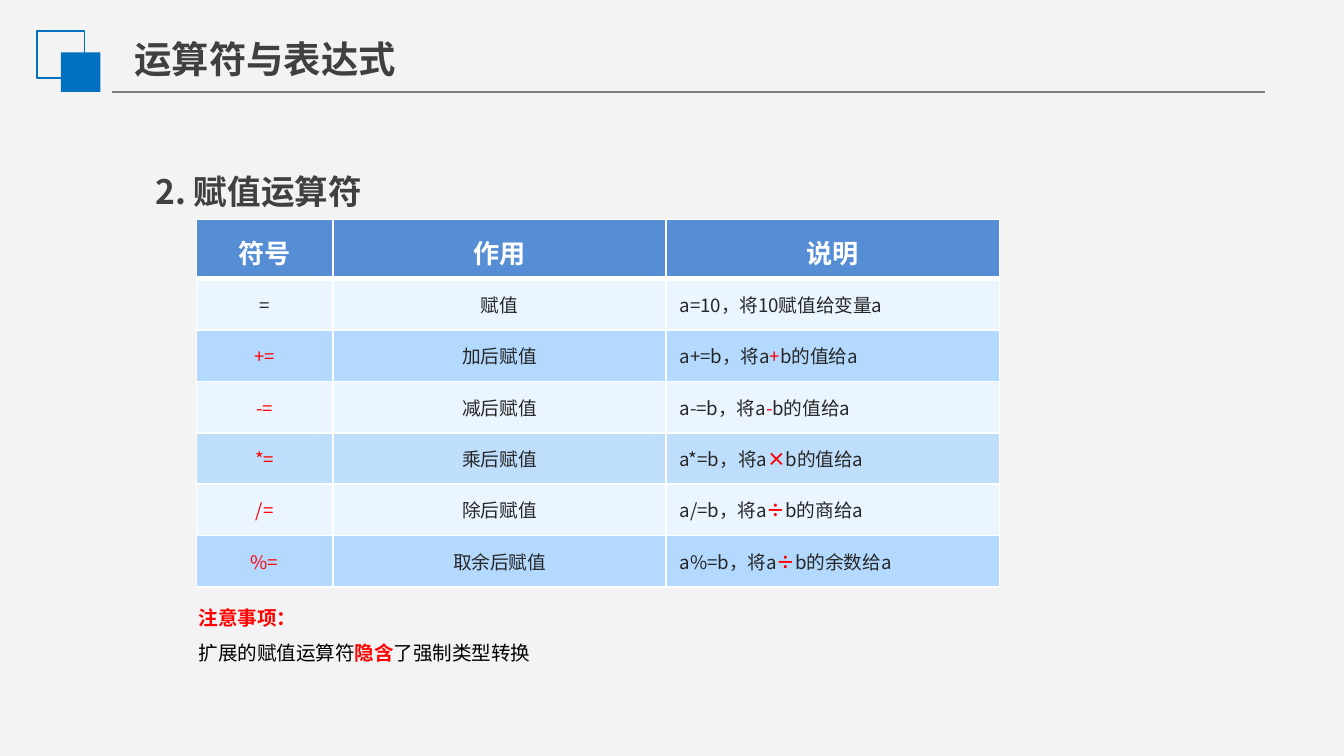
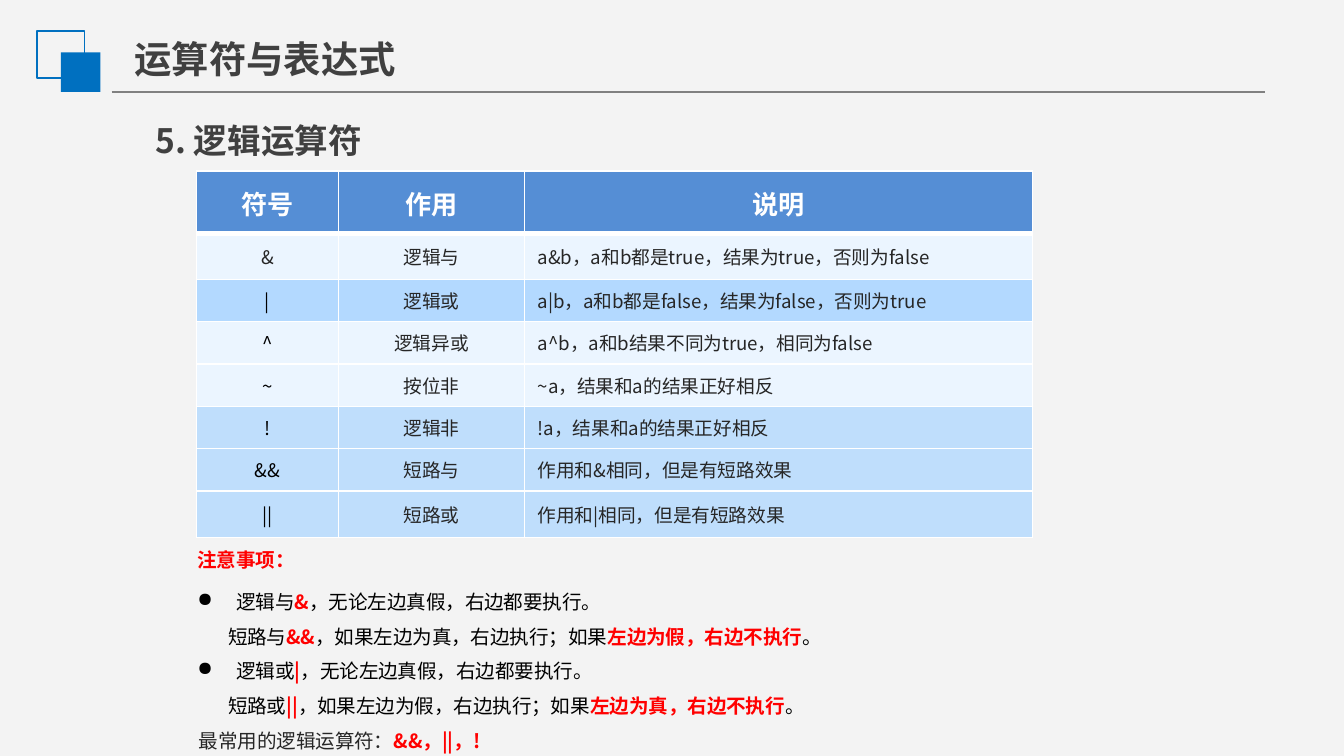
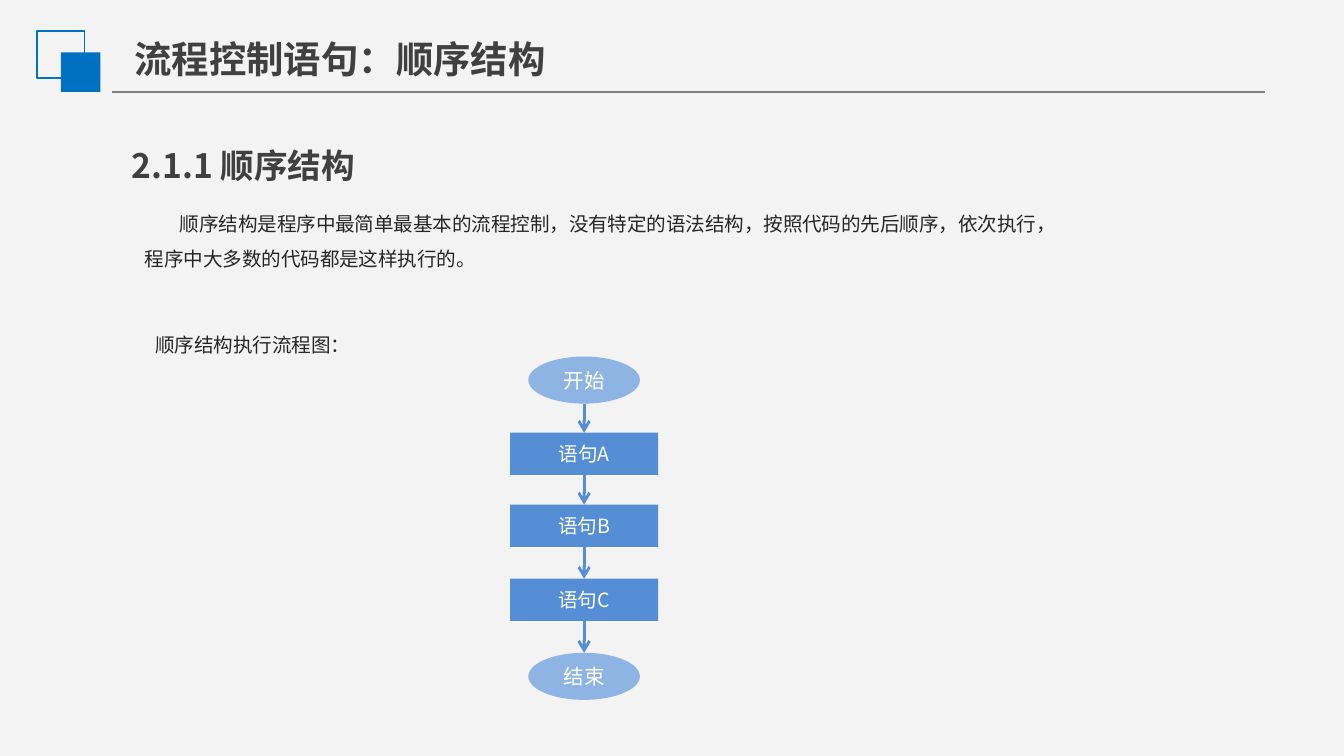
"""Build three lesson slides: two operator tables and one flow chart."""
from dataclasses import dataclass
from itertools import pairwise

from lxml import etree
from pptx import Presentation
from pptx.dml.color import RGBColor
from pptx.enum import shapes, text
from pptx.oxml.ns import qn
from pptx.util import Cm, Pt


@dataclass(frozen=True)
class Theme:
    """Colours, fonts and type sizes of the deck."""
    paper: str = "F3F3F3"
    rule: str = "808080"
    accent: str = "0070C0"
    heading: str = "404040"
    ink: str = "262626"
    black: str = "000000"
    white: str = "FFFFFF"
    hot: str = "FF0000"
    box: str = "558ED5"
    terminal: str = "8EB4E3"
    pale: str = "EBF5FF"
    sky: str = "B3D9FF"
    font: str = "Noto Sans CJK SC"
    terminal_font: str = "Calibri"
    title_size: float = 20
    heading_size: float = 18
    header_size: float = 14
    terminal_size: float = 11
    body_size: float = 10.5
    cell_size: float = 10


T = Theme()
MARK = "§"  # encloses highlighted words


@dataclass(frozen=True)
class Style:
    """Look of the runs in a paragraph."""
    size: float = T.body_size
    color: str = T.black
    bold: bool = False
    font: str = T.font
    hot_bold: bool = True


@dataclass(frozen=True)
class Para:
    """A paragraph; lengths are in centimetres."""
    text: str
    style: Style = Style()
    spacing: float | Pt | None = 1.5
    left: float = 0
    first: float = 0
    bullet: str = ""
    center: bool = False


@dataclass(frozen=True)
class Box:
    """A rectangle in centimetres."""
    x: float
    y: float
    w: float
    h: float

    def emu(self) -> tuple:
        """Return the four lengths for python-pptx."""
        return Cm(self.x), Cm(self.y), Cm(self.w), Cm(self.h)


@dataclass(frozen=True)
class Row:
    """One operator; alpha is the opacity of the fill in percent."""
    symbol: str
    role: str
    note: str
    fill: str = T.pale
    alpha: int = 100
    hot_bold: bool = True


@dataclass(frozen=True)
class Step:
    """One node of the flow chart."""
    label: str
    top: float
    terminal: bool = False


TITLE = Style(T.title_size, T.heading, True)
HEADING = Style(T.heading_size, T.heading, True)
HEADER = Style(T.header_size, T.white, True)
INK = Style(color=T.ink)
WARNING = Para("注意事项：", Style(color=T.hot, bold=True))


def rgb(color: str) -> RGBColor:
    """Turn a hex string into a colour."""
    return RGBColor.from_string(color)


def write(tf, paras: list[Para]) -> None:
    """Fill a text frame, giving marked words the highlight colour."""
    for i, para in enumerate(paras):
        p = tf.add_paragraph() if i else tf.paragraphs[0]
        p.alignment = text.PP_ALIGN.CENTER if para.center else text.PP_ALIGN.LEFT
        if para.spacing:
            p.line_spacing = para.spacing
        pPr = p._p.get_or_add_pPr()
        if para.left or para.first:
            pPr.set("marL", str(Cm(para.left)))
            pPr.set("indent", str(Cm(para.first)))
        if para.bullet:
            etree.SubElement(pPr, qn("a:buChar")).set("char", para.bullet)
        style = para.style
        for n, part in enumerate(para.text.split(MARK)):
            if not part:
                continue
            hot = n % 2 == 1
            r = p.add_run()
            r.text = part
            r.font.size = Pt(style.size)
            r.font.bold = style.hot_bold if hot else style.bold
            r.font.color.rgb = rgb(T.hot if hot else style.color)
            r.font.name = style.font
            etree.SubElement(r._r.get_or_add_rPr(), qn("a:ea")).set("typeface", style.font)


def add_text(s, box: Box, paras: list[Para], wrap: bool = True) -> None:
    """Add a text box that grows with its text."""
    tf = s.shapes.add_textbox(*box.emu()).text_frame
    tf.word_wrap = wrap
    tf.auto_size = text.MSO_AUTO_SIZE.SHAPE_TO_FIT_TEXT
    write(tf, paras)


def add_shape(parent, kind, box: Box, fill: str = "", line: str = ""):
    """Add a flat preset shape."""
    sp = parent.shapes.add_shape(kind, *box.emu())
    sp.shadow.inherit = False
    if fill:
        sp.fill.solid()
        sp.fill.fore_color.rgb = rgb(fill)
    else:
        sp.fill.background()
    if line:
        sp.line.color.rgb = rgb(line)
        sp.line.width = Pt(1)
    else:
        sp.line.fill.background()
    return sp


def add_line(s, x1: float, y1: float, x2: float, y2: float,
             color: str, width: float, arrow: bool = False) -> None:
    """Add a straight line, with an arrowhead at its end if asked."""
    cx = s.shapes.add_connector(shapes.MSO_CONNECTOR.STRAIGHT, Cm(x1), Cm(y1), Cm(x2), Cm(y2))
    cx.line.color.rgb = rgb(color)
    cx.line.width = Pt(width)
    if arrow:
        etree.SubElement(cx.line._get_or_add_ln(), qn("a:tailEnd")).set("type", "arrow")
    etree.SubElement(cx._element.spPr, qn("a:effectLst"))


def add_slide(prs, title: str):
    """Add a slide with background, corner squares, rule and title."""
    s = prs.slides.add_slide(prs.slide_layouts[6])
    s.background.fill.solid()
    s.background.fill.fore_color.rgb = rgb(T.paper)
    add_line(s, 2.11, 1.74, 23.9, 1.74, T.rule, 0.75)
    group = s.shapes.add_group_shape()
    square = shapes.MSO_SHAPE.RECTANGLE
    add_shape(group, square, Box(0.7, 0.58, 0.9, 0.9), line=T.accent)
    add_shape(group, square, Box(1.15, 0.99, 0.75, 0.75), fill=T.accent)
    width = 0.55 + 0.71 * len(title)
    add_text(s, Box(2.29, 0.56, width, 1.96), [Para(title, TITLE, None)], wrap=False)
    return s


def style_cell(cell, fill: str, alpha: int, top: float, bottom: float) -> None:
    """Set the borders and the fill of a cell."""
    tcPr = cell._tc.get_or_add_tcPr()
    for side, width in (("L", 1), ("R", 1), ("T", top), ("B", bottom)):
        ln = etree.SubElement(tcPr, qn(f"a:ln{side}"), w=str(Pt(width)))
        color = etree.SubElement(etree.SubElement(ln, qn("a:solidFill")), qn("a:srgbClr"))
        color.set("val", T.white)
    cell.fill.solid()
    cell.fill.fore_color.rgb = rgb(fill)
    if alpha < 100:
        color = tcPr.find(qn("a:solidFill")).find(qn("a:srgbClr"))
        etree.SubElement(color, qn("a:alpha")).set("val", str(alpha * 1000))


def add_operator_table(s, x: float, y: float, widths: list[float], heights: list[float],
                       rows: list[Row], symbol_color: str) -> None:
    """Add a table of operators below a header row."""
    box = Box(x, y, sum(widths), sum(heights))
    table = s.shapes.add_table(len(heights), len(widths), *box.emu()).table
    table.first_row = table.horz_banding = False
    for column, width in zip(table.columns, widths):
        column.width = Cm(width)
    for line, height in zip(table.rows, heights):
        line.height = Cm(height)

    for c, label in enumerate(("符号", "作用", "说明")):
        cell = table.cell(0, c)
        style_cell(cell, T.box, 100, 1, 3)
        write(cell.text_frame, [Para(label, HEADER, Pt(24), center=True)])

    for n, row in enumerate(rows, 1):
        for c, label in enumerate((row.symbol, row.role, row.note)):
            cell = table.cell(n, c)
            style_cell(cell, row.fill, row.alpha, 3 if n == 1 else 1, 1)
            cell.vertical_anchor = text.MSO_ANCHOR.MIDDLE
            color = symbol_color if c == 0 and n > 1 else T.ink
            style = Style(T.cell_size, color, hot_bold=row.hot_bold)
            write(cell.text_frame, [Para(label, style, None, center=c < 2)])


def add_flow(s, steps: list[Step], center: float) -> None:
    """Draw the steps one below the other, joined by arrows."""
    bottoms = []
    for step in steps:
        if step.terminal:
            kind, w, h, fill = shapes.MSO_SHAPE.OVAL, 2.11, 0.89, T.terminal
            style = Style(T.terminal_size, T.white, font=T.terminal_font)
        else:
            kind, w, h, fill = shapes.MSO_SHAPE.RECTANGLE, 2.8, 0.8, T.box
            style = Style(color=T.white)
        sp = add_shape(s, kind, Box(center - w / 2, step.top, w, h), fill)
        sp.text_frame.vertical_anchor = text.MSO_ANCHOR.MIDDLE
        write(sp.text_frame, [Para(step.label, style, None, center=True)])
        bottoms.append(step.top + h)
    for bottom, (_, following) in zip(bottoms, pairwise(steps)):
        add_line(s, center, bottom, center, following.top, T.box, 1.5, arrow=True)


def build_assignment(prs) -> None:
    """Slide on assignment operators."""
    s = add_slide(prs, "运算符与表达式")
    add_text(s, Box(2.69, 2.34, 7.95, 1.57), [Para("2. 赋值运算符", HEADING, 2.0)])
    add_text(s, Box(3.51, 11.1, 18.8, 1.52),
             [WARNING, Para("扩展的赋值运算符§隐含§了强制类型转换")])
    rows = [
        Row("=", "赋值", "a=10，将10赋值给变量a"),
        Row("+=", "加后赋值", "a+=b，将a§+§b的值给a", T.sky, hot_bold=False),
        Row("-=", "减后赋值", "a-=b，将a§-§b的值给a", hot_bold=False),
        Row("*=", "乘后赋值", "a*=b，将a§×§b的值给a", T.sky, 80),
        Row("/=", "除后赋值", "a/=b，将a§÷§b的商给a"),
        Row("%=", "取余后赋值", "a%=b，将a§÷§b的余数给a", T.sky),
    ]
    add_operator_table(s, 3.71, 4.15, [2.58, 6.3, 6.3], [1.12] + [0.97] * 6, rows, T.hot)


def build_logic(prs) -> None:
    """Slide on logical operators."""
    s = add_slide(prs, "运算符与表达式")
    add_text(s, Box(2.69, 1.38, 7.95, 1.57), [Para("5. 逻辑运算符", HEADING, 2.0)])
    add_text(s, Box(3.48, 10.01, 18.8, 0.84), [WARNING])
    rows = [
        Row("&", "逻辑与", "a&b，a和b都是true，结果为true，否则为false"),
        Row("|", "逻辑或", "a|b，a和b都是false，结果为false，否则为true", T.sky),
        Row("^", "逻辑异或", "a^b，a和b结果不同为true，相同为false"),
        Row("~", "按位非", "~a，结果和a的结果正好相反"),
        Row("!", "逻辑非", "!a，结果和a的结果正好相反", T.sky, 80),
        Row("&&", "短路与", "作用和&相同，但是有短路效果", T.sky, 80),
        Row("||", "短路或", "作用和|相同，但是有短路效果", T.sky, 80),
    ]
    heights = [1.19, 0.86] + [0.8] * 5 + [0.88]
    add_operator_table(s, 3.71, 3.23, [2.69, 3.51, 9.6], heights, rows, T.black)

    rules = [("与", "&", "真", "假", 10.8, 2.29), ("或", "|", "假", "真", 12.1, 1.6)]
    for name, sign, go, stop, y, h in rules:
        add_text(s, Box(3.48, y, 15.72, h), [
            Para(f"逻辑{name}§{sign}§，无论左边真假，右边都要执行。",
                 left=0.74, first=-0.74, bullet="●"),
            Para(f"短路{name}§{sign * 2}§，如果左边为{go}，右边执行；"
                 f"如果§左边为{stop}，右边不执行§。", first=0.58),
        ])
    add_text(s, Box(3.51, 13.44, 20.6, 0.86), [Para("最常用的逻辑运算符：§&&，||，!§", INK)])


def build_sequence(prs) -> None:
    """Slide on sequential flow."""
    s = add_slide(prs, "流程控制语句：顺序结构")
    add_text(s, Box(2.24, 2.24, 9.75, 1.42), [Para("2.1.1 顺序结构", HEADING)])
    add_text(s, Box(2.49, 3.66, 17.55, 2.18), [Para(
        "顺序结构是程序中最简单最基本的流程控制，没有特定的语法结构，"
        "按照代码的先后顺序，依次执行，程序中大多数的代码都是这样执行的。", INK, first=0.66)])
    add_text(s, Box(2.69, 5.95, 15.72, 0.86), [Para("顺序结构执行流程图：", INK)])
    add_flow(s, [
        Step("开始", 6.74, True),
        Step("语句A", 8.18),
        Step("语句B", 9.54),
        Step("语句C", 10.94),
        Step("结束", 12.34, True),
    ], 11.04)


def main() -> None:
    """Build and save the deck."""
    prs = Presentation()
    prs.slide_width, prs.slide_height = Cm(25.4), Cm(14.29)
    build_assignment(prs)
    build_logic(prs)
    build_sequence(prs)
    prs.save("out.pptx")


main()
